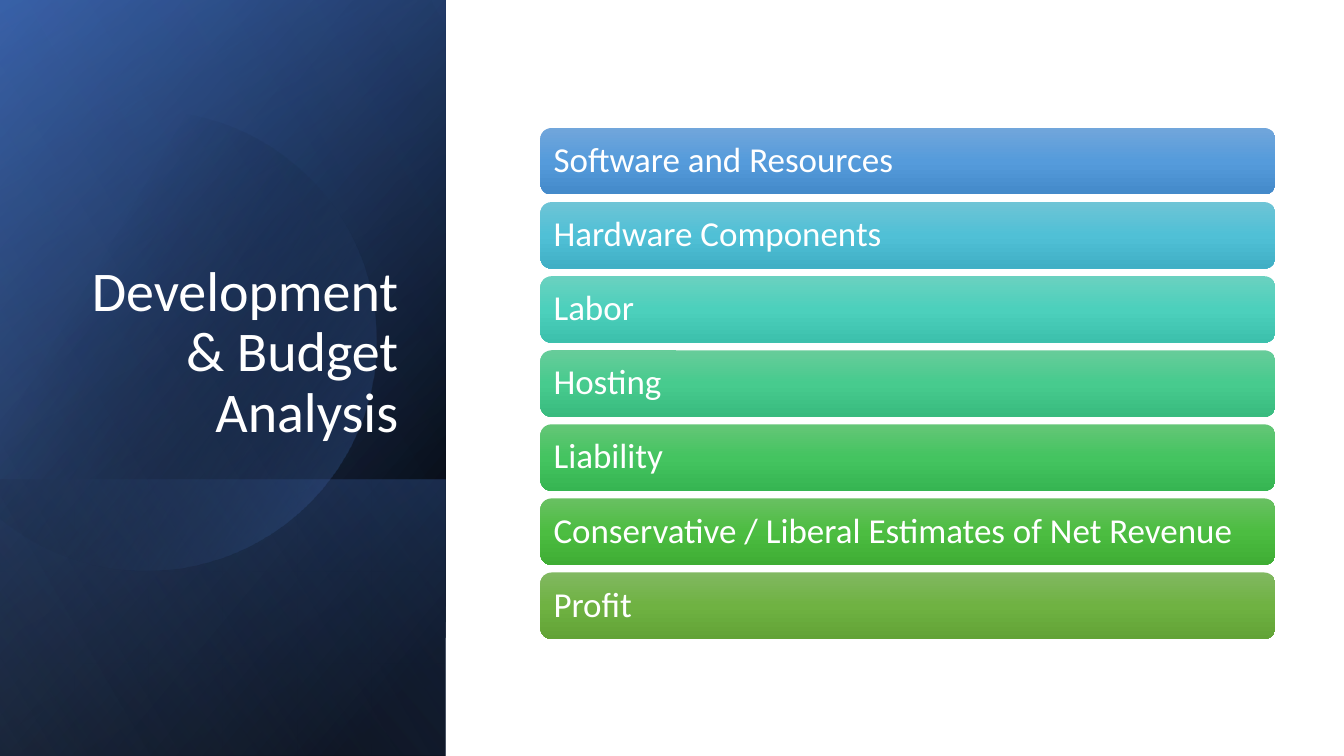
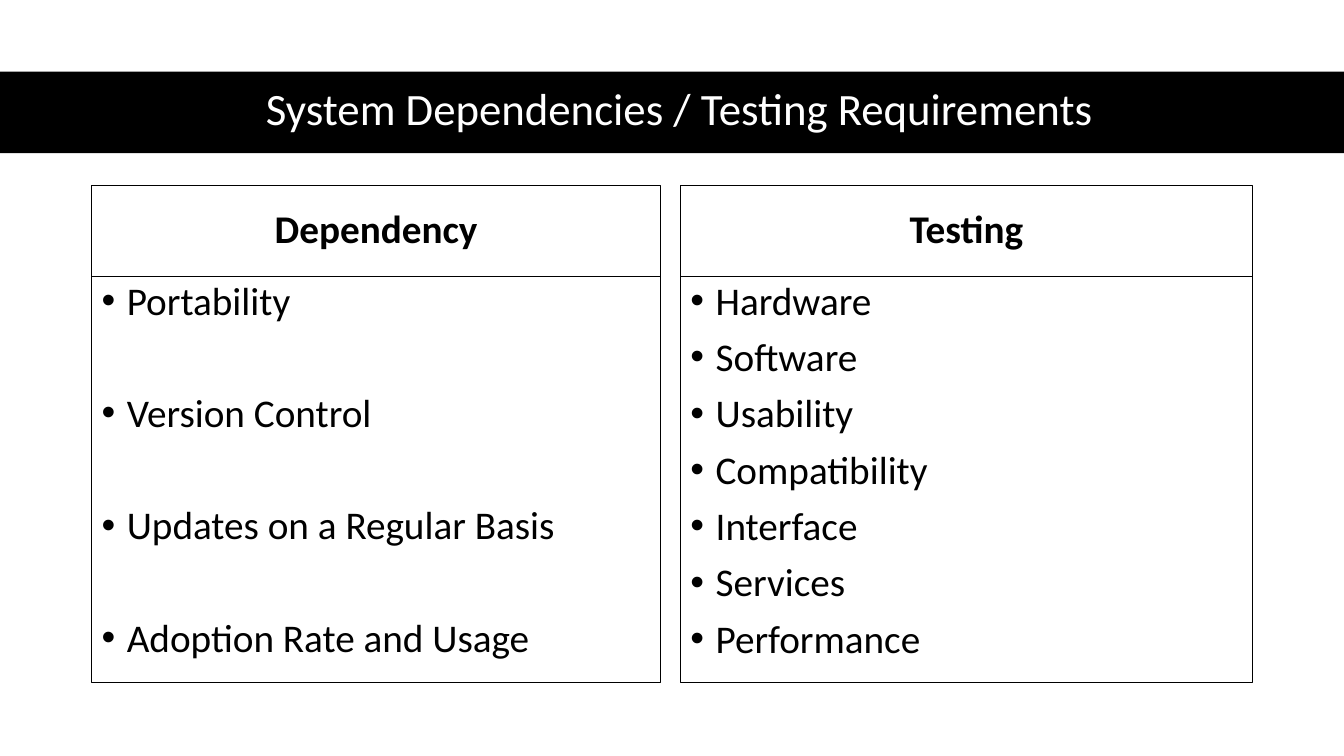
from math import acos, cos, sin
from lxml import etree
from pptx import Presentation
from pptx.dml.color import RGBColor
from pptx.enum.shapes import MSO_SHAPE
from pptx.enum.text import MSO_ANCHOR, MSO_AUTO_SIZE, PP_ALIGN
from pptx.oxml.ns import qn
from pptx.util import Inches, Pt

RECT, ROUND = MSO_SHAPE.RECTANGLE, MSO_SHAPE.ROUNDED_RECTANGLE
LEFT, MID, RIGHT = PP_ALIGN.LEFT, PP_ALIGN.CENTER, PP_ALIGN.RIGHT
TOP, CENTER, BOTTOM = MSO_ANCHOR.TOP, MSO_ANCHOR.MIDDLE, MSO_ANCHOR.BOTTOM
FONT = "Calibri"
HUES = {"ink": "000000", "paper": "FFFFFF", "navy": "2F5597",
        "blue": "4472C4", "pale": "8FAADC"}


def write(shape, lines, size=28, hue="ink", bold=False, align=LEFT,
          anchor=CENTER, before=0, gap=0, bullet=False):
    frame = shape.text_frame
    frame.word_wrap = True
    frame.auto_size = MSO_AUTO_SIZE.NONE
    frame.vertical_anchor = anchor
    for i, line in enumerate(lines):
        para = frame.paragraphs[0] if i == 0 else frame.add_paragraph()
        para.alignment = align
        para.line_spacing = 0.9
        para.space_before = Pt(gap if i else before)
        run = para.add_run()
        run.text = line
        run.font.name = FONT
        run.font.size = Pt(size)
        run.font.bold = bold
        run.font.color.rgb = RGBColor.from_string(HUES[hue])
        if bullet:
            props = para._p.get_or_add_pPr()
            props.set("marL", str(Inches(0.25)))
            props.set("indent", str(Inches(-0.25)))
            face = etree.SubElement(props, qn("a:buFont"))
            face.set("typeface", "Arial")
            etree.SubElement(props, qn("a:buChar")).set("char", "•")


def shade(shape, stops, angle):
    shape.shadow.inherit = False
    shape.line.fill.background()
    shape.fill.gradient()
    grad = shape.element.spPr.find(qn("a:gradFill"))
    for child in list(grad):
        grad.remove(child)
    ramp = etree.SubElement(grad, qn("a:gsLst"))
    for pos, hue, alpha in stops:
        stop = etree.SubElement(ramp, qn("a:gs"), pos=str(pos * 1000))
        tint = etree.SubElement(stop, qn("a:srgbClr"), val=HUES.get(hue, hue))
        if alpha < 100:
            etree.SubElement(tint, qn("a:alpha"), val=str(alpha * 1000))
    etree.SubElement(grad, qn("a:lin"), ang=str(angle * 60000), scaled="0")


deck = Presentation()
deck.slide_width, deck.slide_height = Inches(13.33), Inches(7.5)
slides = []
for words, box, style in [
    ("Development & Budget Analysis", (0.64, 1.84, 3.41, 2.62),
     dict(size=40, align=RIGHT, anchor=BOTTOM)),
    ("System Dependencies / Testing Requirements", (0.61, 0.7, 12.26, 0.81),
     dict(size=32, align=MID)),
]:
    slide = deck.slides.add_slide(deck.slide_layouts[5])
    title = slide.shapes.title
    title.left, title.top, title.width, title.height = map(Inches, box)
    write(title, [words], hue="paper", **style)
    slides.append(slide)

shapes = slides[0].shapes
title = shapes.title
SIDE, LOW = 4.42, 4.76
panels = [
    (0, [(8, "ink", 100), (100, "navy", 100)], 220),
    (0, [(0, "ink", 0), (99, "blue", 46)], 240),
    (LOW, [(2, "blue", 29), (100, "ink", 30)], 140),
    (None, [(29, "ink", 0), (100, "blue", 43)], 30),
    (0, [(0, "ink", 0), (99, "pale", 11)], 150),
]
MIDX, MIDY, RADIUS, STEPS = 1.45, 3.38, 2.28, 90
edge = acos(-MIDX / RADIUS)
turns = [edge * (2 * i / STEPS - 1) for i in range(STEPS + 1)]
disc = [(Inches(MIDX + RADIUS * cos(t)), Inches(MIDY + RADIUS * sin(t)))
        for t in turns]
for top, stops, angle in panels:
    if top is None:
        pen = shapes.build_freeform(*disc[0])
        pen.add_line_segments(disc[1:], close=True)
        panel = pen.convert_to_shape()
    else:
        panel = shapes.add_shape(RECT, 0, Inches(top), Inches(SIDE),
                                 Inches(7.5 - top))
    shade(panel, stops, angle)
shapes.element.append(title.element)

rows = [
    ("Software and Resources", "71A6DB", "559BDB", "448ACA"),
    ("Hardware Components", "6EC4D6", "50C0D6", "40AFC5"),
    ("Labor", "6AD1C0", "4CD0BC", "3CC0AC"),
    ("Hosting", "67CC9A", "47CB8E", "39BB7F"),
    ("Liability", "64C677", "44C460", "36B552"),
    ("Conservative / Liberal Estimates of Net Revenue",
     "69C062", "4CBD41", "3FAD34"),
    ("Profit", "81B861", "6FB242", "62A336"),
]
FIRST, LAST = 1.27, 5.68
pitch = (LAST - FIRST) / (len(rows) - 1)
for i, (words, *tints) in enumerate(rows):
    bar = shapes.add_shape(ROUND, Inches(5.36), Inches(FIRST + i * pitch),
                           Inches(7.29), Inches(0.66))
    shade(bar, [(50 * n, tint, 100) for n, tint in enumerate(tints)], 90)
    write(bar, [words], size=25, hue="paper")

shapes = slides[1].shapes
title = shapes.title
band = shapes.add_shape(RECT, 0, Inches(0.71), deck.slide_width, Inches(0.81))
band.shadow.inherit = False
band.fill.solid()
band.fill.fore_color.rgb = RGBColor.from_string(HUES["ink"])
band.line.fill.background()
shapes.element.append(title.element)

lists = [
    (0.91, 5.64, "Dependency", 50,
     ["Portability", "Version Control", "Updates on a Regular Basis",
      "Adoption Rate and Usage"]),
    (6.75, 5.67, "Testing", 10,
     ["Hardware", "Software", "Usability", "Compatibility", "Interface",
      "Services", "Performance"]),
]
for left, width, head, gap, items in lists:
    for top, height, lines, style in [
        (1.84, 0.9, [head], dict(bold=True, align=MID)),
        (2.74, 4.03, items, dict(anchor=TOP, gap=gap, bullet=True)),
    ]:
        box = shapes.add_shape(RECT, Inches(left), Inches(top),
                               Inches(width), Inches(height))
        box.shadow.inherit = False
        box.fill.background()
        box.line.color.rgb = RGBColor.from_string(HUES["ink"])
        box.line.width = Pt(0.75)
        write(box, lines, before=10, **style)

deck.save("out.pptx")
